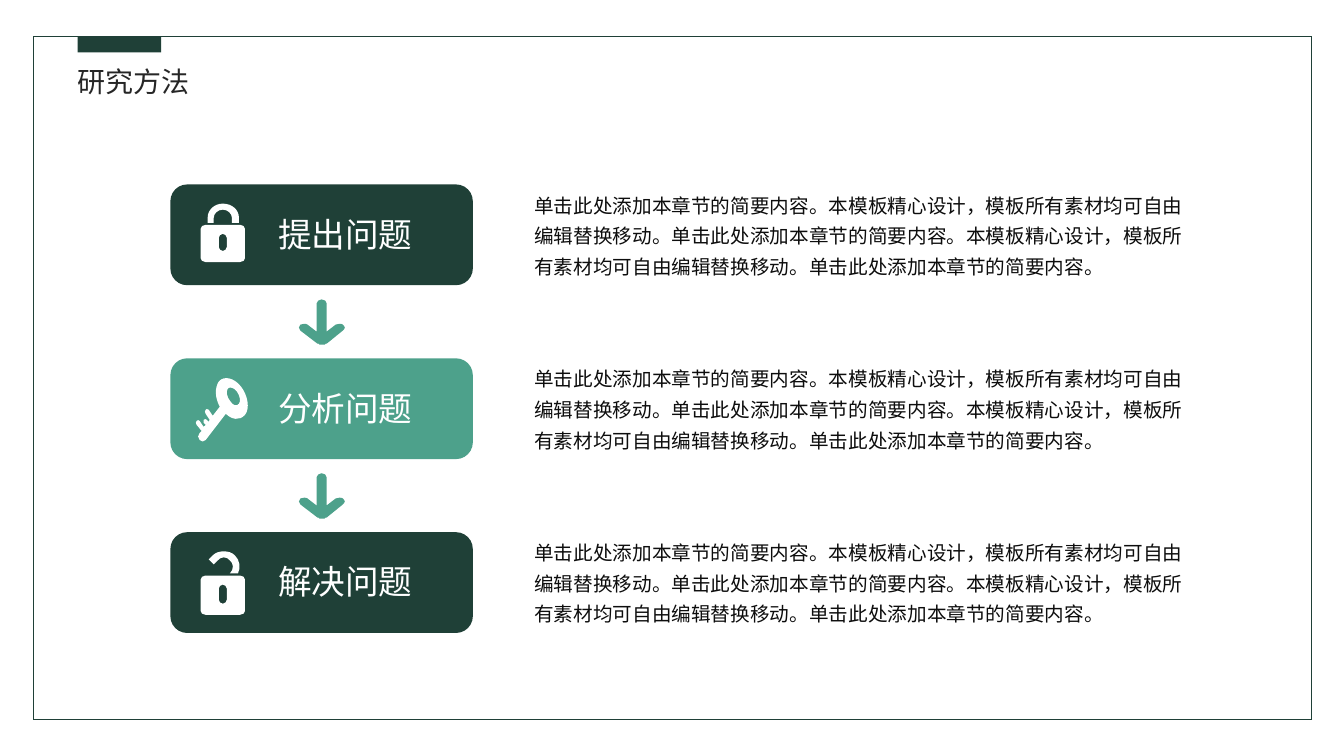
from pptx import Presentation
from pptx.dml.color import RGBColor
from pptx.enum.shapes import MSO_SHAPE
from pptx.enum.text import MSO_ANCHOR, MSO_AUTO_SIZE, PP_ALIGN
from pptx.oxml.ns import qn
from pptx.oxml.xmlchemy import OxmlElement
from pptx.util import Inches, Pt

RECTANGLE, ROUNDED = MSO_SHAPE.RECTANGLE, MSO_SHAPE.ROUNDED_RECTANGLE
TOP, FIT_SHAPE = MSO_ANCHOR.TOP, MSO_AUTO_SIZE.SHAPE_TO_FIT_TEXT
LEFT, JUSTIFY = PP_ALIGN.LEFT, PP_ALIGN.JUSTIFY

FONT = "Noto Sans CJK SC"
COLORS = {
    "dark": "1F4037",
    "green": "4DA18B",
    "white": "FFFFFF",
    "title": "262626",
    "body": "0D0D0D",
}
DESCRIPTION = (
    "单击此处添加本章节的简要内容。本模板精心设计，模板所有素材均可自由编辑替换移动。" * 2
    + "单击此处添加本章节的简要内容。"
)


def lock_body(top, height):
    """Outline of a lock's body and keyhole, in hundredths of an inch."""
    bottom = top + height
    hole, hole_end = top + 9, bottom - 11
    return (
        f"M 22 {hole} C 20 {hole} 18 {hole + 2} 18 {hole + 4} "
        f"L 18 {hole_end - 4} C 18 {hole_end - 2} 20 {hole_end} 22 {hole_end} "
        f"C 24 {hole_end} 26 {hole_end - 2} 26 {hole_end - 4} "
        f"L 26 {hole + 4} C 26 {hole + 2} 24 {hole} 22 {hole} "
        f"M 5 {top} L 39 {top} C 42 {top} 44 {top + 2} 44 {top + 4} "
        f"L 44 {bottom - 4} C 44 {bottom - 2} 42 {bottom} 39 {bottom} "
        f"L 5 {bottom} C 2 {bottom} 0 {bottom - 2} 0 {bottom - 4} "
        f"L 0 {top + 4} C 0 {top + 2} 2 {top} 5 {top} "
    )


CLOSED_LOCK = lock_body(21, 37) + (
    "M 22 0 C 31 0 38 6 38 14 L 38 19 L 31 19 L 31 14 C 31 10 27 6 22 6 "
    "C 17 6 13 10 13 14 L 13 19 L 7 19 L 7 14 C 7 6 14 0 22 0"
)
OPEN_LOCK = lock_body(24, 39) + (
    "M 23 0 C 27 0 31 1 34 4 C 39 9 40 16 37 22 L 29 22 C 33 18 33 12 29 9 "
    "C 26 5 20 5 17 9 L 13 13 L 8 8 L 12 4 C 15 1 19 0 23 0"
)
KEY = (
    "M 30 38 L 10 64 C 8 66 6 66 4 64 C 2 62 2 59 4 57 L 6 55 L 1 49 "
    "C 0 48 0 46 1 45 C 2 44 3 44 4 45 L 8 51 L 10 49 L 8 47 "
    "C 8 46 8 45 8 44 C 9 43 10 43 11 44 L 13 46 L 14 44 L 10 38 "
    "C 9 37 9 35 10 34 C 10 33 12 33 13 34 L 17 40 L 24 31 "
    "C 19 22 19 12 23 6 C 28 0 38 2 45 11 C 52 20 54 33 49 39 "
    "C 44 45 36 44 30 38 "
    "M 41 16 C 38 12 34 11 32 13 C 30 16 31 21 34 25 "
    "C 37 30 41 31 43 28 C 45 26 44 20 41 16"
)
DOWN_ARROW = (
    "M 45 28 C 45 29 44 30 43 31 L 27 44 C 26 44 26 44 26 44 L 25 45 "
    "C 24 45 23 45 22 45 C 22 45 21 45 20 45 L 19 44 C 19 44 19 44 18 44 "
    "L 1 31 C -1 29 -1 27 1 25 C 3 24 7 24 8 25 "
    "L 17 32 L 17 4 C 17 2 20 0 22 0 C 25 0 27 2 27 4 L 27 32 L 36 25 "
    "C 38 24 42 24 43 25 C 44 26 45 27 45 28"
)

# label, box colour, icon outline, icon offset from the box
STEPS = [
    ("提出问题", "dark", CLOSED_LOCK, (0.3, 0.19)),
    ("分析问题", "green", KEY, (0.25, 0.17)),
    ("解决问题", "dark", OPEN_LOCK, (0.3, 0.19)),
]


def rgb(name):
    return RGBColor.from_string(COLORS[name])


def paint(shape, fill):
    shape.shadow.inherit = False
    shape.fill.solid()
    shape.fill.fore_color.rgb = rgb(fill)
    shape.line.fill.background()


def add_block(page, kind, left, top, width, height, fill):
    block = page.shapes.add_shape(
        kind, Inches(left), Inches(top), Inches(width), Inches(height)
    )
    paint(block, fill)
    return block


def write(frame, text, size, color, align=LEFT, spacing=None):
    frame.word_wrap = True
    frame.auto_size = FIT_SHAPE
    frame.vertical_anchor = TOP
    para = frame.paragraphs[0]
    para.text = text
    para.alignment = align
    para.line_spacing = spacing
    para.font.size = Pt(size)
    para.font.name = FONT
    para.font.color.rgb = rgb(color)
    east_asian = OxmlElement("a:ea")
    east_asian.set("typeface", FONT)
    para._p.pPr.find(qn("a:defRPr")).append(east_asian)


def add_text(page, left, top, width, height, *content, **style):
    box = page.shapes.add_textbox(
        Inches(left), Inches(top), Inches(width), Inches(height)
    )
    write(box.text_frame, *content, **style)


def read_contour(outline):
    """Split M, L and C commands into lists of one or three points."""
    segments, tokens = [], outline.split()
    while tokens:
        count = 6 if tokens.pop(0) == "C" else 2
        values = [int(token) for token in tokens[:count]]
        del tokens[:count]
        segments.append(list(zip(values[::2], values[1::2])))
    return segments


def bend(icon, segments, origin_x, origin_y):
    """Replace the straight sides by curves where a segment has handles."""
    drawing = icon._element.find(".//" + qn("a:path"))
    for side, segment in zip(drawing.findall(qn("a:lnTo")), segments):
        if len(segment) == 1:
            continue
        curve = OxmlElement("a:cubicBezTo")
        for x, y in segment:
            point = OxmlElement("a:pt")
            point.set("x", str(x - origin_x))
            point.set("y", str(y - origin_y))
            curve.append(point)
        drawing.replace(side, curve)


def add_icon(page, left, top, outline, fill):
    contours = [read_contour("M" + part) for part in outline.split("M")[1:]]
    corners = [[segment[-1] for segment in contour] for contour in contours]
    builder = page.shapes.build_freeform(*corners[0][0], scale=Inches(0.01))
    for index, contour in enumerate(corners):
        if index:
            builder.move_to(*contour[0])
        builder.add_line_segments(contour[1:-1] + [contour[0]], close=True)
    icon = builder.convert_to_shape(Inches(left), Inches(top))
    xs, ys = zip(*(corner for contour in corners for corner in contour))
    segments = [segment for contour in contours for segment in contour[1:]]
    bend(icon, segments, min(xs), min(ys))
    paint(icon, fill)


def add_header(page, left, top, width, height):
    frame = add_block(page, RECTANGLE, left, top, width, height, "white")
    frame.fill.background()
    frame.line.color.rgb = rgb("dark")
    frame.line.width = Pt(1)
    miter = OxmlElement("a:miter")
    miter.set("lim", "800000")
    frame._element.spPr.find(qn("a:ln")).append(miter)
    add_block(page, RECTANGLE, left + 0.44, top, 0.83, 0.16, "dark")
    title = page.shapes.title
    title.left, title.top = Inches(left + 0.44), Inches(top + 0.23)
    title.width, title.height = Inches(1.67), Inches(0.44)
    title.text_frame.margin_left = 0
    write(title.text_frame, "研究方法", 20, "title", align=JUSTIFY)


def add_step(page, left, top, label, fill, icon, offset):
    add_block(page, ROUNDED, left, top, 3, 1, fill)
    add_icon(page, left + offset[0], top + offset[1], icon, "white")
    add_text(page, left + 0.97, top + 0.24, 1.82, 0.53, label, 24, "white")
    add_text(page, left + 3.51, top - 0.03, 6.72, 1.02,
             DESCRIPTION, 14, "body", spacing=1.3)


def add_process(page, left, top, bottom):
    pitch = (bottom - top - 1) / (len(STEPS) - 1)
    for index, step in enumerate(STEPS):
        step_top = top + index * pitch
        add_step(page, left, step_top, *step)
        if index < len(STEPS) - 1:
            add_icon(page, left + 1.28, step_top + 1.14, DOWN_ARROW, "green")


def main():
    deck = Presentation()
    deck.slide_width, deck.slide_height = Inches(13.33), Inches(7.5)
    page = deck.slides.add_slide(deck.slide_layouts[5])
    add_header(page, 0.33, 0.36, 12.68, 6.78)
    add_process(page, 1.69, 1.83, 6.28)
    deck.save("out.pptx")


if __name__ == "__main__":
    main()
